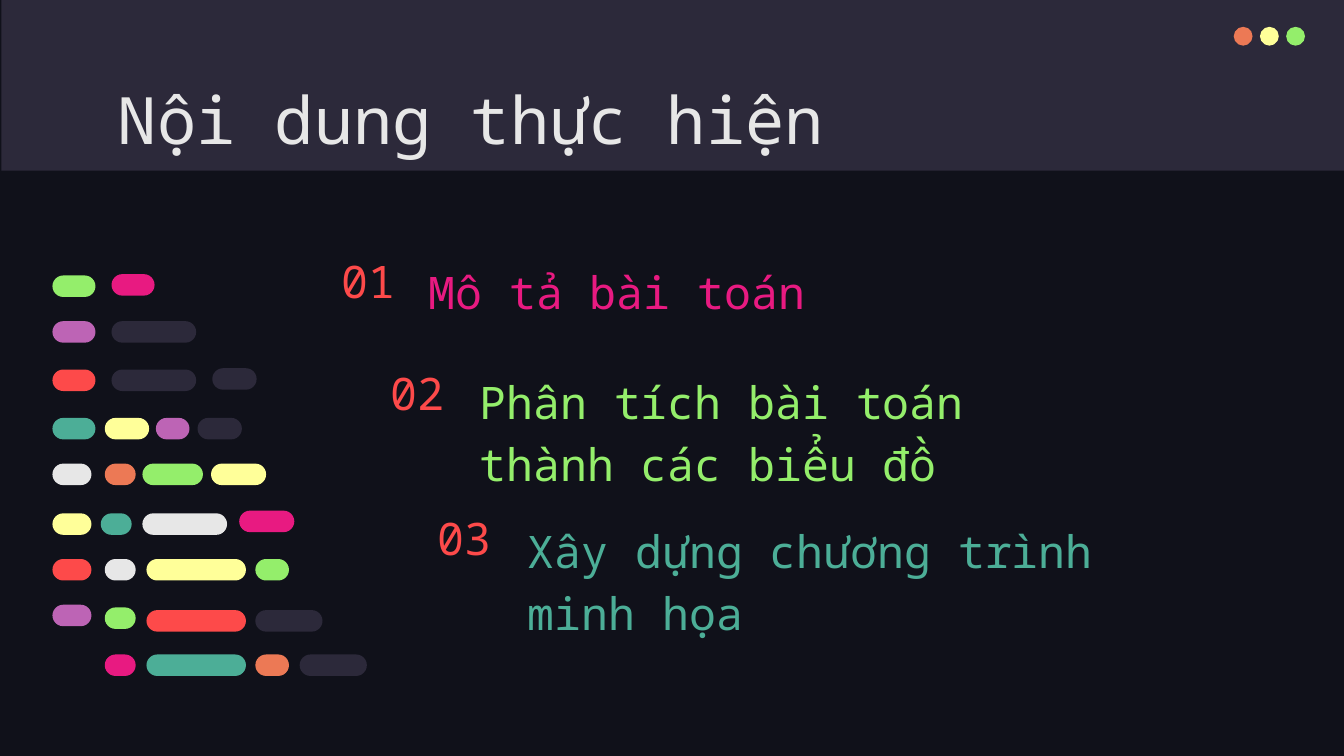
"""Build the agenda slide with its code-lines decoration."""
import pptx
import pptx.util
import pptx.dml.color
import pptx.enum.shapes
import pptx.enum.text

COLOURS = {
    "night": "10111A", "slate": "2C293A", "orange": "EC7955", "yellow": "FFFF99",
    "green": "94EE6B", "white": "E7E7E7", "red": "FD4A4A", "pink": "E81A81",
    "teal": "4CAE97", "purple": "BD64B5",
}
ANCHOR = pptx.enum.text.MSO_ANCHOR
SHAPE = pptx.enum.shapes.MSO_SHAPE


class SlideBuilder:
    font = "Noto Sans Mono"
    cell = 0.1

    def __init__(self, slide):
        self.slide = slide
        self.fill(slide.background, "night")

    def span(self, *cells):
        return [pptx.util.Inches(count * self.cell) for count in cells]

    def colour(self, name):
        return pptx.dml.color.RGBColor.from_string(COLOURS[name])

    def fill(self, target, colour):
        target.fill.solid()
        target.fill.fore_color.rgb = self.colour(colour)

    def group(self):
        return self.slide.shapes.add_group_shape().shapes

    def block(self, kind, area, colour, shapes=None):
        holder = self.slide.shapes if shapes is None else shapes
        block = holder.add_shape(kind, *self.span(*area))
        self.fill(block, colour)
        block.line.fill.background()
        block.shadow.inherit = False
        return block

    def pill(self, area, colour, shapes):
        self.block(SHAPE.ROUNDED_RECTANGLE, area, colour, shapes).adjustments[0] = 0.5

    def text(self, area, words, size, colour, anchor, spacing=1.0):
        frame = self.slide.shapes.add_textbox(*self.span(*area)).text_frame
        frame.word_wrap = True
        frame.vertical_anchor = anchor
        frame.margin_left, frame.margin_top, frame.margin_right, frame.margin_bottom = self.span(1, 1, 1, 1)
        frame.text = words
        paragraph = frame.paragraphs[0]
        paragraph.line_spacing = spacing
        font = paragraph.runs[0].font
        font.name = self.font
        font.size = pptx.util.Pt(size)
        font.color.rgb = self.colour(colour)


AGENDA = [
    ("01", (24.4, 18.7, 6.6, 4.3), "Mô tả bài toán", (30.9, 19.4, 46, 5.3), "pink"),
    ("02", (28.1, 27.1, 6.6, 4.3), "Phân tích bài toán thành các biểu đồ", (34.7, 27.1, 46, 10.4), "green"),
    ("03", (31.6, 38.2, 6.6, 3.6), "Xây dựng chương trình minh họa", (38.3, 38.2, 46, 10.4), "teal"),
]

CODE_LINES = [
    [(3.9, 20.5, 3.2, "green"), (8.3, 20.4, 3.2, "pink")],
    [(3.9, 23.9, 3.2, "purple"), (8.3, 23.9, 6.3, "slate")],
    [(3.9, 27.5, 3.2, "red"), (8.3, 27.5, 6.3, "slate"), (15.8, 27.4, 3.3, "slate")],
    [(3.9, 31.1, 3.2, "teal"), (7.8, 31.1, 3.3, "yellow"), (11.6, 31.1, 2.5, "purple"),
     (14.7, 31.1, 3.3, "slate")],
    [(3.9, 34.5, 2.9, "white"), (7.8, 34.5, 2.3, "orange"), (10.6, 34.5, 4.5, "green"),
     (15.7, 34.5, 4.1, "yellow")],
    [(3.9, 38.2, 2.9, "yellow"), (7.5, 38.2, 2.3, "teal"), (10.6, 38.2, 6.3, "white"),
     (17.8, 38.0, 4.1, "pink")],
    [(3.9, 41.6, 2.9, "red"), (7.8, 41.6, 2.3, "white"), (10.9, 41.6, 7.4, "yellow"),
     (19.0, 41.6, 2.5, "green")],
    [(3.9, 45.0, 2.9, "purple"), (7.8, 45.2, 2.3, "green"), (10.9, 45.4, 7.4, "red"),
     (19.0, 45.4, 5.0, "slate")],
    [(7.8, 48.7, 2.3, "pink"), (10.9, 48.7, 7.4, "teal"), (19.0, 48.7, 2.5, "orange"),
     (22.3, 48.7, 5.0, "slate")],
]


def main():
    deck = pptx.Presentation()
    deck.slide_width = pptx.util.Inches(10)
    deck.slide_height = pptx.util.Inches(10 * 9 / 16)
    page = SlideBuilder(deck.slides.add_slide(deck.slide_layouts[6]))

    page.block(SHAPE.RECTANGLE, (0.1, 0, 99.9, 12.7), "slate")
    window_buttons = page.group()
    for index, colour in enumerate(("orange", "yellow", "green")):
        page.block(SHAPE.OVAL, (91.8 + 1.95 * index, 2, 1.4, 1.4), colour, window_buttons)

    page.text((7.8, 4.9, 84.3, 6.3), "Nội dung thực hiện", 35, "white", ANCHOR.TOP)
    for number, number_area, topic, topic_area, colour in AGENDA:
        page.text(number_area, number, 24, "red", ANCHOR.MIDDLE)
        page.text(topic_area, topic, 24, colour, ANCHOR.BOTTOM, 1.15)

    code = page.group()
    for line in CODE_LINES:
        for column, row, width, colour in line:
            page.pill((column, row, width, 1.6), colour, code)

    deck.save("out.pptx")


if __name__ == "__main__":
    main()
